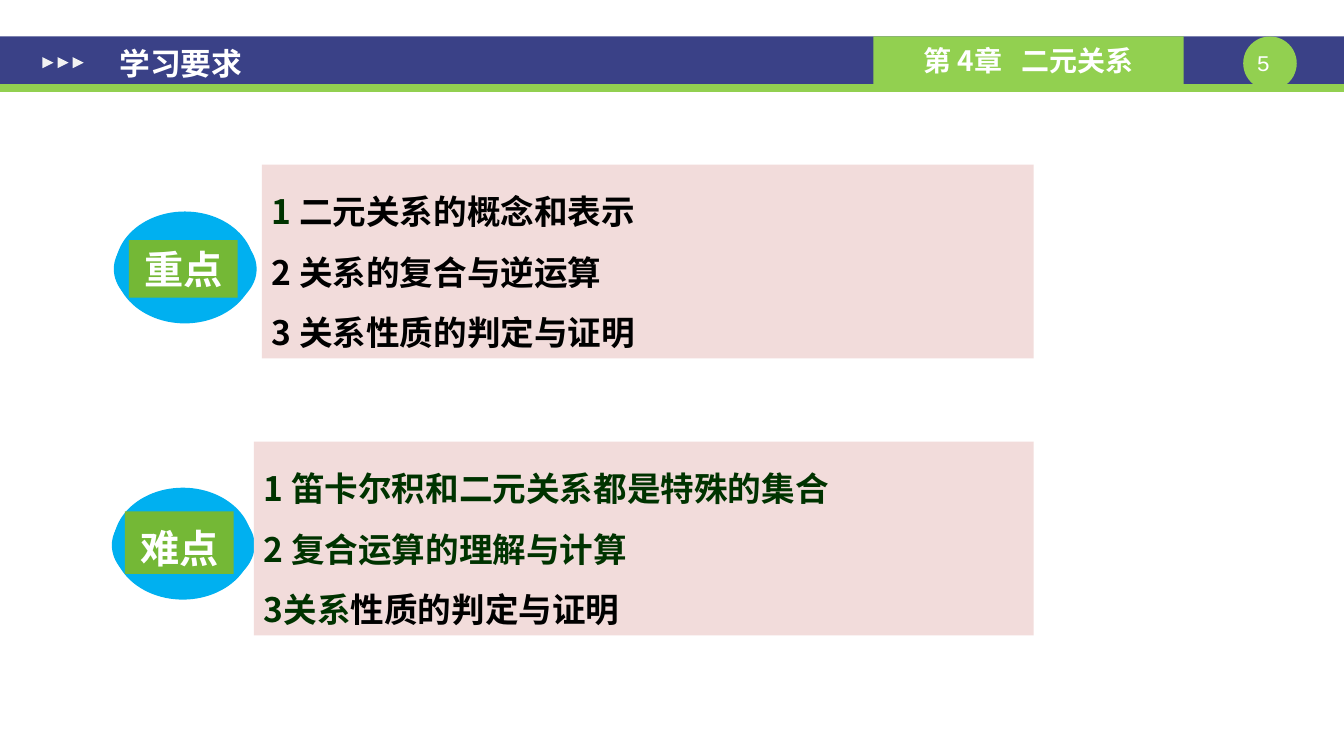
from lxml import etree
from pptx import Presentation
from pptx.dml.color import RGBColor
from pptx.enum.shapes import MSO_SHAPE
from pptx.enum.text import MSO_ANCHOR, MSO_AUTO_SIZE, PP_ALIGN
from pptx.oxml.ns import qn
from pptx.util import Cm, Pt

RECT = MSO_SHAPE.RECTANGLE
OVAL = MSO_SHAPE.OVAL
ARROW = MSO_SHAPE.ISOSCELES_TRIANGLE
MIDDLE = MSO_ANCHOR.MIDDLE
FIXED = MSO_AUTO_SIZE.NONE
LEFT, CENTER = PP_ALIGN.LEFT, PP_ALIGN.CENTER

COLORS = {
    "navy": "3A4187", "lime": "92D050", "green": "74B836", "sky": "00B0F0",
    "pink": "F2DCDB", "pine": "003300", "black": "000000",
    "white": "FFFFFF", "pale": "F2F2F2",
}
INSETS = (0.25, 0.13, 0.25, 0.13)
# Ovals that make up a badge, relative to its corner
OVALS = [
    (0, 0.25, 3.6, 2.4), (0.04, 0, 3.5, 2.82), (0.08, 0.02, 3.4, 2.74),
    (0.12, 0.03, 3.25, 2.57), (0.3, 0.1, 2.9, 2.08),
]


class Deck:
    font = "Noto Sans CJK SC"

    def __init__(self, width, height):
        self.prs = Presentation()
        self.prs.slide_width, self.prs.slide_height = Cm(width), Cm(height)
        self.slide = self.prs.slides.add_slide(self.prs.slide_layouts[5])

    def shape(self, kind, box, fill, home=None):
        home = self.slide.shapes if home is None else home
        item = home.add_shape(kind, *map(Cm, box))
        item.shadow.inherit = False
        item.fill.solid()
        item.fill.fore_color.rgb = RGBColor.from_string(COLORS[fill])
        item.line.fill.background()
        return item

    def label(self, item, lines, size, align=LEFT, space=None,
              insets=INSETS, font=None, bold=True):
        """Each line is a list of runs: (text, color[, letter spacing])."""
        frame = item.text_frame
        frame.word_wrap = True
        frame.auto_size = FIXED
        frame.vertical_anchor = MIDDLE
        (frame.margin_left, frame.margin_top,
         frame.margin_right, frame.margin_bottom) = map(Cm, insets)
        for i, runs in enumerate(lines):
            para = frame.add_paragraph() if i else frame.paragraphs[0]
            para.alignment = align
            if space:
                para.line_spacing = space
            for text, color, *gap in runs:
                run = para.add_run()
                run.text = text
                face = run.font
                face.size, face.bold = Pt(size), bold
                face.color.rgb = RGBColor.from_string(COLORS[color])
                face.name = font or self.font
                props = run._r.get_or_add_rPr()
                east = etree.SubElement(props, qn("a:ea"))
                east.set("typeface", font or self.font)
                if gap:
                    props.set("spc", str(gap[0] * 100))

    def title(self, text, box):
        item = self.slide.shapes.title
        item.left, item.top, item.width, item.height = map(Cm, box)
        self.label(item, [[(text, "white")]], 22,
                   insets=(0.85, 0.18, 0.33, 0.18))
        # Bring the title in front of the header bar
        item.element.getparent().append(item.element)

    def number(self, text, box):
        item = self.slide.shapes.add_textbox(*map(Cm, box))
        self.label(item, [[(text, "white")]], 16, CENTER,
                   insets=(0, 0, 0, 0), font="Courier New", bold=False)

    def badge(self, left, top, text, tag, space=None):
        home = self.slide.shapes.add_group_shape().shapes
        for x, y, w, h in OVALS:
            self.shape(OVAL, (left + x, top + y, w, h), "sky", home)
        item = self.shape(RECT, tag, "green")
        self.label(item, [[(text, "white")]], 28, CENTER, space)

    def panel(self, box, lines):
        self.label(self.shape(RECT, box, "pink"), lines, 24, space=1.5)


def main():
    deck = Deck(33.88, 19.05)

    # Header bar, page number and chapter
    deck.shape(RECT, (0, 0.92, 33.88, 1.2), "navy")
    deck.shape(RECT, (0, 2.12, 33.88, 0.2), "lime")
    deck.shape(OVAL, (31.34, 0.92, 1.35, 1.35), "lime")
    deck.number("5 ", (31.34, 1.22, 1.35, 0.69))
    chapter = deck.shape(RECT, (22.02, 0.92, 7.82, 1.2), "lime")
    deck.label(chapter, [[("第 4章", "white"), (" ", "white", 9),
                          ("二元关系", "white")]], 20, CENTER)
    for i in range(3):
        mark = deck.shape(ARROW, (1.07 + 0.38 * i, 1.44, 0.28, 0.28), "pale")
        mark.rotation = 90

    # Key points
    deck.badge(2.87, 5.33, "重点", (3.25, 6.05, 2.74, 1.45))
    deck.panel((6.6, 4.15, 19.46, 4.88), [
        [("1 ", "pine"), ("二元关系的概念和表示", "black")],
        [("2 关系的复合与逆运算", "black")],
        [("3 关系性质的判定与证明", "black")],
    ])

    # Difficult points
    deck.badge(2.82, 12.29, "难点", (3.15, 12.89, 2.74, 1.57), 1.2)
    deck.panel((6.4, 11.13, 19.66, 4.88), [
        [("1 笛卡尔积和二元关系都是特殊的集合", "pine")],
        [("2 复合运算的理解与计算", "pine")],
        [("3关系", "pine"), ("性质的判定与证明", "black")],
    ])

    deck.title("学习要求", (2.16, 1.02, 14.73, 1.12))
    deck.prs.save("out.pptx")


if __name__ == "__main__":
    main()
